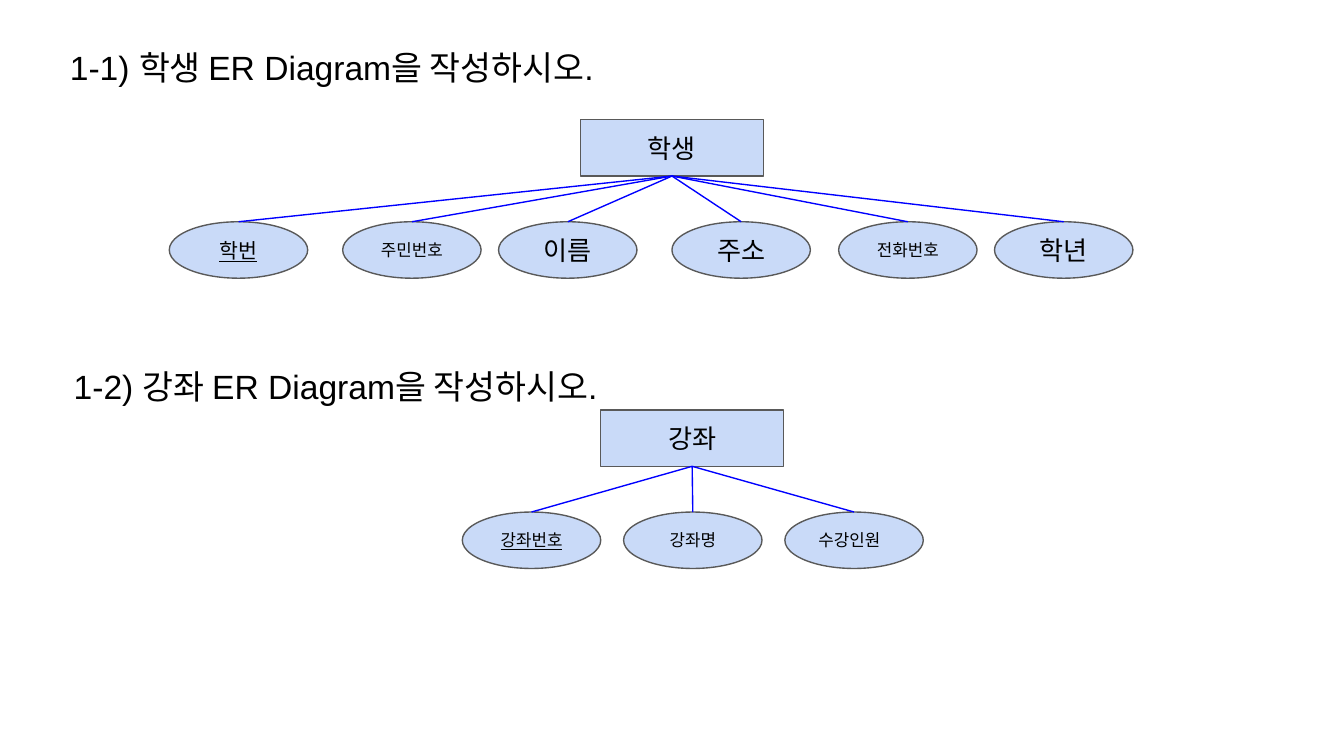
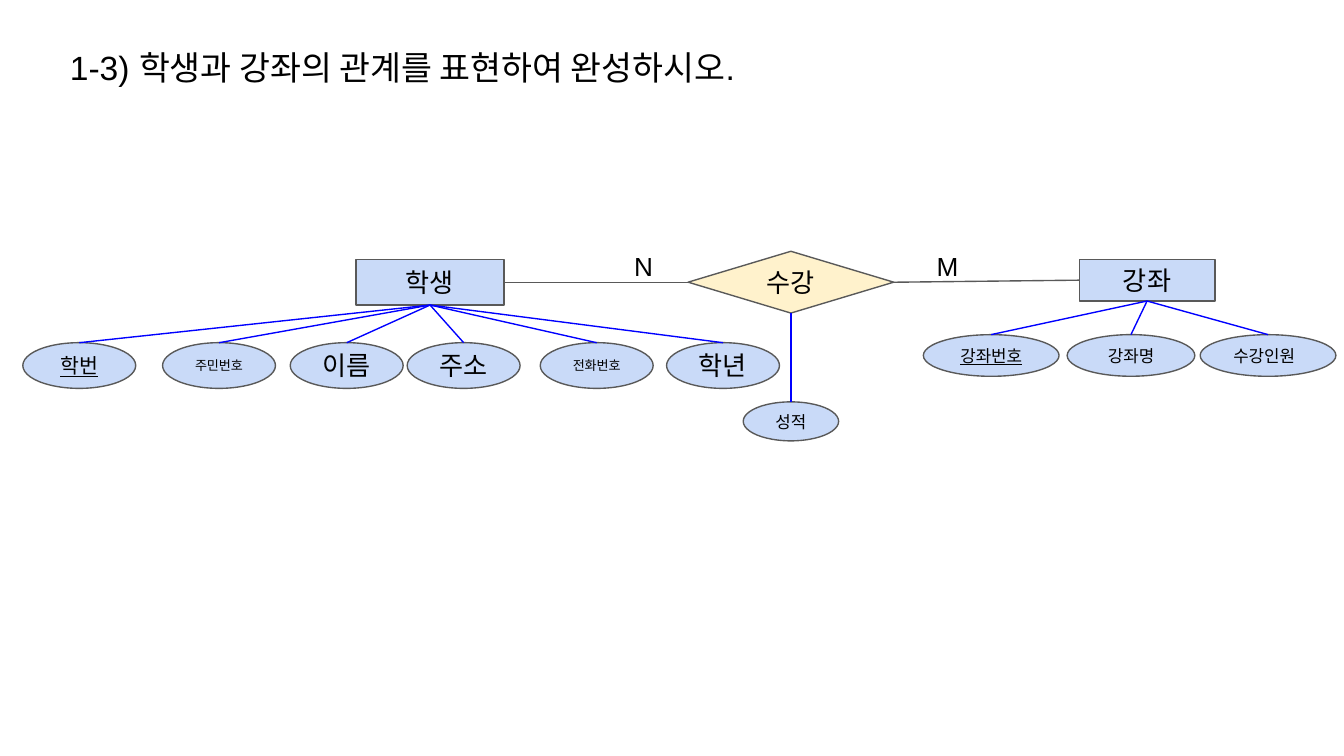
from lxml import etree
from pptx import Presentation
from pptx.dml.color import RGBColor
from pptx.enum.shapes import MSO_CONNECTOR, MSO_SHAPE
from pptx.enum.text import MSO_ANCHOR, MSO_AUTO_SIZE, PP_ALIGN
from pptx.oxml.ns import qn
from pptx.util import Inches, Pt

BLACK = RGBColor(0x00, 0x00, 0x00)
BLUE = RGBColor(0x00, 0x00, 0xFF)
GRAY = RGBColor(0x59, 0x59, 0x59)
LIGHT_BLUE = RGBColor(0xC9, 0xDA, 0xF8)
CREAM = RGBColor(0xFF, 0xF2, 0xCC)

FONT = "Arial"
TOP, LEFT, BOTTOM, RIGHT = range(4)


def set_text(shape, text, size, anchor=MSO_ANCHOR.TOP, align=PP_ALIGN.LEFT):
    frame = shape.text_frame
    frame.text = text
    frame.word_wrap = True
    frame.auto_size = MSO_AUTO_SIZE.NONE
    frame.vertical_anchor = anchor
    frame.margin_left = frame.margin_right = Inches(0.1)
    frame.margin_top = frame.margin_bottom = Inches(0.1)
    paragraph = frame.paragraphs[0]
    paragraph.alignment = align
    paragraph.font.name = FONT
    paragraph.font.size = Pt(size)
    paragraph.font.color.rgb = BLACK
    paragraph.font._element.set("kern", "0")
    return paragraph


def add_node(slide, kind, box, text, size, fill=LIGHT_BLUE, align=PP_ALIGN.CENTER):
    shape = slide.shapes.add_shape(kind, *map(Inches, box))
    shape.shadow.inherit = False
    shape.fill.solid()
    shape.fill.fore_color.rgb = fill
    shape.line.color.rgb = GRAY
    shape.line.width = Pt(0.75)
    set_text(shape, text, size, MSO_ANCHOR.MIDDLE, align)
    return shape


presentation = Presentation()
presentation.slide_width = Inches(10)
presentation.slide_height = Inches(10 * 9 / 16)
title_only = presentation.slide_layouts[5]
entity_slide, relation_slide = [presentation.slides.add_slide(title_only) for _ in range(2)]

headings = [
    (entity_slide.shapes.title, 0.42, 0.1, "1-1) 학생 ER Diagram을 작성하시오."),
    (entity_slide.shapes.add_textbox(0, 0, 0, 0), 0.45, 2.47, "1-2) 강좌 ER Diagram을 작성하시오."),
    (relation_slide.shapes.title, 0.42, 0.1, "1-3) 학생과 강좌의 관계를 표현하여 완성하시오."),
]
for heading, left, top, text in headings:
    heading.left, heading.top = Inches(left), Inches(top)
    heading.width, heading.height = Inches(9.28), Inches(0.52)
    set_text(heading, text, 18).line_spacing = 1.5

student_attributes = ["학번", "주민번호", "이름", "주소", "전화번호", "학년"]
course_attributes = ["강좌번호", "강좌명", "수강인원"]

diagrams = [
    (entity_slide, "학생", (4.32, 0.89, 1.36, 0.42), 1.65, student_attributes,
     [1.26, 2.55, 3.71, 5, 6.24, 7.4], [1.03] * 6, [11, 9, 14, 14, 9, 14]),
    (entity_slide, "강좌", (4.47, 3.05, 1.36, 0.42), 3.81, course_attributes,
     [3.44, 4.64, 5.84], [1.03] * 3, [9] * 3),
    (relation_slide, "학생", (2.65, 1.93, 1.1, 0.34), 2.55, student_attributes,
     [0.17, 1.21, 2.16, 3.03, 4.02, 4.96], [0.84] * 6, [11, 7, 14, 14, 7, 14]),
    (relation_slide, "강좌", (8.03, 1.93, 1.01, 0.31), 2.49, course_attributes,
     [6.87, 7.94, 8.93], [1.01, 0.95, 1.01], [9] * 3),
]

links = []
entities = []
for slide, name, box, attribute_top, attributes, lefts, widths, sizes in diagrams:
    entity = add_node(slide, MSO_SHAPE.RECTANGLE, box, name, 14)
    entities.append(entity)
    for index, (text, left, width, size) in enumerate(zip(attributes, lefts, widths, sizes)):
        align = PP_ALIGN.LEFT if text == "수강인원" else PP_ALIGN.CENTER
        attribute = add_node(slide, MSO_SHAPE.OVAL, (left, attribute_top, width, box[3]),
                             text, size, align=align)
        if index == 0:
            attribute.text_frame.paragraphs[0].font.underline = True
        links.append((slide, entity, BOTTOM, attribute, TOP, BLUE))

student, course = entities[2:]
enrollment = add_node(relation_slide, MSO_SHAPE.DIAMOND, (5.12, 1.87, 1.53, 0.46), "수강", 14, CREAM)
grade = add_node(relation_slide, MSO_SHAPE.OVAL, (5.53, 2.99, 0.71, 0.29), "성적", 9)
links += [
    (relation_slide, student, RIGHT, enrollment, LEFT, GRAY),
    (relation_slide, enrollment, RIGHT, course, LEFT, GRAY),
    (relation_slide, enrollment, BOTTOM, grade, TOP, BLUE),
]

for slide, start, start_site, end, end_site, color in links:
    connector = slide.shapes.add_connector(MSO_CONNECTOR.STRAIGHT, 0, 0, 0, 0)
    connector.begin_connect(start, start_site)
    connector.end_connect(end, end_site)
    connector.line.color.rgb = color
    connector.line.width = Pt(0.75)
    etree.SubElement(connector._element.spPr, qn("a:effectLst"))

for text, left in [("N", 4.62), ("M", 6.87)]:
    cardinality = relation_slide.shapes.add_textbox(
        Inches(left), Inches(1.76), Inches(0.47), Inches(0.37))
    set_text(cardinality, text, 14)

presentation.save("out.pptx")
